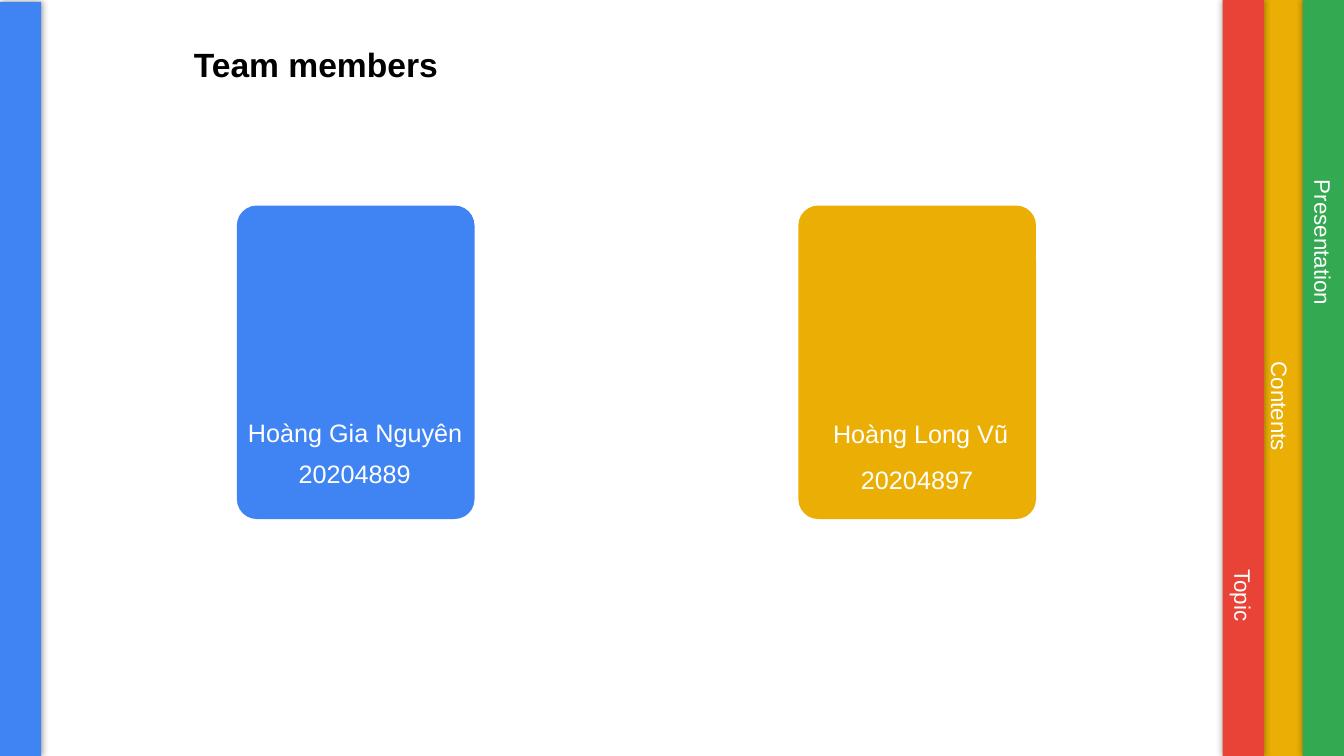
"""Build the team members slide with its coloured side tabs."""
from lxml import etree
from pptx import Presentation
from pptx.dml.color import RGBColor
from pptx.enum.shapes import MSO_SHAPE
from pptx.enum.text import MSO_ANCHOR, MSO_AUTO_SIZE, PP_ALIGN
from pptx.oxml.ns import qn
from pptx.util import Cm, Pt

RECT = MSO_SHAPE.RECTANGLE
ROUND = MSO_SHAPE.ROUNDED_RECTANGLE
MIDDLE = MSO_ANCHOR.MIDDLE
FIXED = MSO_AUTO_SIZE.NONE
CENTER = PP_ALIGN.CENTER

WHITE = RGBColor(0xFF, 0xFF, 0xFF)
BLACK = RGBColor(0x00, 0x00, 0x00)
BLUE = RGBColor(0x40, 0x84, 0xF3)
YELLOW = RGBColor(0xEA, 0xAE, 0x04)
GREEN = RGBColor(0x33, 0xA9, 0x52)
RED = RGBColor(0xE9, 0x42, 0x36)


def add_block(shapes, kind, left, top, width, height, color):
    block = shapes.add_shape(kind, Cm(left), Cm(top), Cm(width), Cm(height))
    block.fill.solid()
    block.fill.fore_color.rgb = color
    block.line.fill.background()
    block.shadow.inherit = False
    return block


def set_text(shape, text, size, color, bold=False):
    frame = shape.text_frame
    frame.text = text
    frame.word_wrap = True
    frame.auto_size = FIXED
    frame.vertical_anchor = MIDDLE
    line = frame.paragraphs[0]
    line.alignment = CENTER
    font = line.runs[0].font
    font.name = "Arial"
    font.size = Pt(size)
    font.bold = bold
    font.color.rgb = color


deck = Presentation()
deck.slide_width = Cm(33.87)
deck.slide_height = Cm(19.05)
slide = deck.slides.add_slide(deck.slide_layouts[5])

title = slide.shapes.title
title.left, title.top = Cm(2.08), Cm(0.99)
title.width, title.height = Cm(11.76), Cm(1.27)
set_text(title, "Team members", 24, BLACK, True)

cards = [
    (5.97, BLUE, [("Hoàng Gia Nguyên", 8.95, 10.39), ("20204889", 8.94, 11.43)]),
    (20.12, YELLOW, [("Hoàng Long Vũ", 23.2, 10.41), ("20204897", 23.11, 11.56)]),
]
for left, color, lines in cards:
    group = slide.shapes.add_group_shape()
    card = add_block(group.shapes, ROUND, left, 5.18, 5.99, 7.9, color)
    card.adjustments[0] = 0.084
    for text, mid, top in lines:
        label = group.shapes.add_textbox(Cm(mid - 3.44), Cm(top), Cm(6.88), Cm(1.02))
        set_text(label, text, 18, WHITE)

bars = [
    (0, 0.05, 1.04, BLUE),
    (31.85, 0, 1.0, YELLOW),
    (32.83, 0, 1.04, GREEN),
    (30.81, 0, 1.04, RED),
]
for left, top, width, color in bars:
    bar = add_block(slide.shapes, RECT, left, top, width, 19.05 - top, color)
    effects = bar._element.spPr.find(qn("a:effectLst"))
    glow = etree.SubElement(effects, qn("a:outerShdw"), blurRad=str(Pt(5)), dist="0")
    black = etree.SubElement(glow, qn("a:srgbClr"), val="000000")
    etree.SubElement(black, qn("a:alpha"), val="40000")

tabs = [
    ("Contents", 32.26, 10.24),
    ("Presentation", 33.35, 6.11),
    ("Topic", 31.33, 15.0),
]
for text, across, down in tabs:
    tab = slide.shapes.add_textbox(Cm(across - 3.73), Cm(down - 0.47), Cm(7.46), Cm(0.94))
    tab.rotation = 90
    set_text(tab, text, 16, WHITE)

deck.save("out.pptx")
